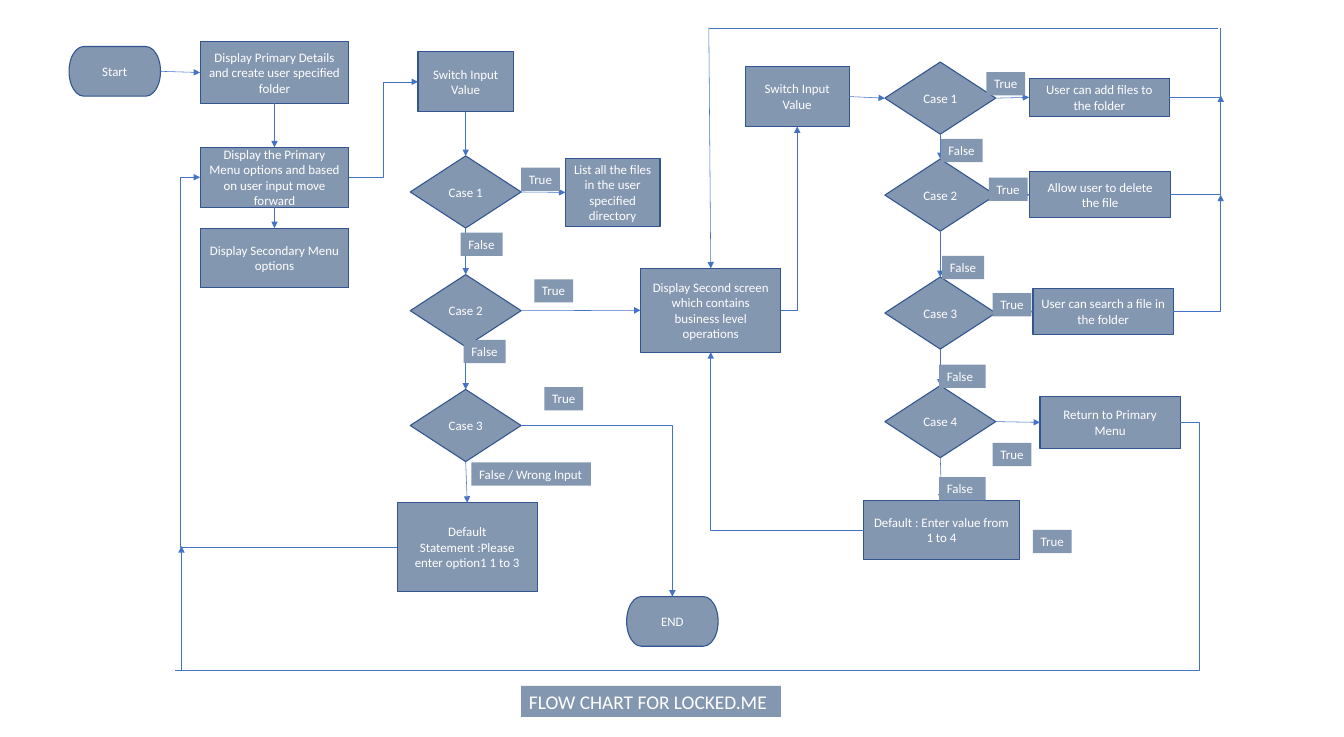
from lxml import etree
from pptx import Presentation
from pptx.dml.color import RGBColor
from pptx.enum.shapes import MSO_CONNECTOR as CONNECTOR, MSO_SHAPE as SHAPE
from pptx.enum.text import MSO_ANCHOR as ANCHOR, MSO_AUTO_SIZE as AUTO_SIZE, PP_ALIGN as ALIGN
from pptx.oxml.ns import qn
from pptx.util import Inches, Pt

COLORS = {"fill": "8497B0", "outline": "325491", "flow": "4472C4", "text": "FFFFFF"}
FONT = "Calibri"
TOP, LEFT, BOTTOM, RIGHT = range(4)
CASE_SIZE = (1.43, 0.93)
TERMINATOR_SIZE = (1.18, 0.64)
LABEL_HEIGHT = 0.3

# key: (preset, text, left, top, width, height)
STEPS = {
    "start": (SHAPE.FLOWCHART_TERMINATOR, "Start", 0.89, 0.6, *TERMINATOR_SIZE),
    "details": (SHAPE.RECTANGLE, "Display Primary Details and create user specified folder",
                2.58, 0.54, 1.92, 0.79),
    "primary": (SHAPE.RECTANGLE,
                "Display the Primary Menu options and based on user input move forward",
                2.58, 1.9, 1.92, 0.77),
    "secondary": (SHAPE.RECTANGLE, "Display Secondary Menu options", 2.58, 2.94, 1.92, 0.77),
    "menu switch": (SHAPE.RECTANGLE, "Switch Input\nValue", 5.39, 0.67, 1.23, 0.77),
    "menu 1": (SHAPE.FLOWCHART_DECISION, "Case 1", 5.29, 2.01, *CASE_SIZE),
    "menu 2": (SHAPE.FLOWCHART_DECISION, "Case 2", 5.29, 3.54, *CASE_SIZE),
    "menu 3": (SHAPE.FLOWCHART_DECISION, "Case 3", 5.29, 5.02, *CASE_SIZE),
    "menu default": (SHAPE.FLOWCHART_PROCESS, "Default Statement :Please enter option1 1 to 3",
                     5.12, 6.48, 1.81, 1.14),
    "list": (SHAPE.FLOWCHART_PROCESS, "List all the files in the user specified directory",
             7.29, 2.04, 1.22, 0.88),
    "second screen": (SHAPE.FLOWCHART_PROCESS,
                      "Display Second screen which contains business level operations",
                      8.26, 3.46, 1.81, 1.08),
    "end": (SHAPE.FLOWCHART_TERMINATOR, "END", 8.08, 7.69, *TERMINATOR_SIZE),
    "file switch": (SHAPE.RECTANGLE, "Switch Input\nValue", 9.61, 0.86, 1.34, 0.77),
    "file 1": (SHAPE.FLOWCHART_DECISION, "Case 1", 11.41, 0.8, *CASE_SIZE),
    "file 2": (SHAPE.FLOWCHART_DECISION, "Case 2", 11.41, 2.05, *CASE_SIZE),
    "file 3": (SHAPE.FLOWCHART_DECISION, "Case 3", 11.41, 3.57, *CASE_SIZE),
    "file 4": (SHAPE.FLOWCHART_DECISION, "Case 4", 11.41, 4.97, *CASE_SIZE),
    "file default": (SHAPE.FLOWCHART_PROCESS, "Default : Enter value from 1 to 4",
                     11.14, 6.45, 2, 0.76),
    "add": (SHAPE.FLOWCHART_PROCESS, "User can add files to the folder", 13.27, 1.01, 1.81, 0.49),
    "delete": (SHAPE.FLOWCHART_PROCESS, "Allow user to delete the file", 13.28, 2.21, 1.81, 0.6),
    "search": (SHAPE.FLOWCHART_PROCESS, "User can search a file in the folder",
               13.32, 3.72, 1.81, 0.59),
    "return": (SHAPE.FLOWCHART_PROCESS, "Return to Primary Menu", 13.41, 5.11, 1.81, 0.67),
}

# Chains of steps joined bottom to top, and left to right
DOWNWARD = [
    ("details", "primary", "secondary"),
    ("menu switch", "menu 1", "menu 2", "menu 3", "menu default"),
    ("file 1", "file 2", "file 3", "file 4", "file default"),
]
RIGHTWARD = [
    ("start", "details"),
    ("menu 1", "list"),
    ("menu 2", "second screen"),
    ("file switch", "file 1", "add"),
    ("file 2", "delete"),
    ("file 3", "search"),
    ("file 4", "return"),
]

# (width, text): [(left, top), ...]
BRANCH_LABELS = {
    (0.5, "True"): [(6.72, 2.16), (6.89, 3.6), (7.02, 4.99), (12.72, 0.93), (12.75, 2.29),
                    (12.8, 3.78), (12.8, 5.71), (13.32, 6.83)],
    (0.54, "False"): [(5.94, 3), (5.98, 4.38), (12.13, 1.79), (12.15, 3.3)],
    (0.6, "False"): [(12.11, 4.7), (12.11, 6.15)],
    (1.54, "False / Wrong Input"): [(6.08, 5.96)],
}


def color(key):
    return RGBColor.from_string(COLORS[key])


def write(shape, text, align, anchor, size=12):
    frame = shape.text_frame
    frame.text = text
    frame.vertical_anchor = anchor
    for paragraph in frame.paragraphs:
        paragraph.alignment = align
        for run in paragraph.runs:
            run.font.name = FONT
            run.font.size = Pt(size)
            run.font.color.rgb = color("text")


def paint(shape):
    shape.fill.solid()
    shape.fill.fore_color.rgb = color("fill")


def add_step(slide, preset, text, *box):
    step = slide.shapes.add_shape(preset, *map(Inches, box))
    step.shadow.inherit = False
    paint(step)
    step.line.color.rgb = color("outline")
    step.line.width = Pt(1)
    write(step, text, ALIGN.CENTER, ANCHOR.MIDDLE)
    return step


def add_branch_label(slide, text, *box):
    label = slide.shapes.add_textbox(*map(Inches, box))
    label.text_frame.word_wrap = False
    paint(label)
    write(label, text, ALIGN.LEFT, ANCHOR.TOP)


def add_flow(slide, kind, start, end, arrow=True):
    flow = slide.shapes.add_connector(kind, *start, *end)
    flow.line.color.rgb = color("flow")
    flow.line.width = Pt(0.5)
    properties = flow.element.spPr
    if arrow:
        etree.SubElement(properties.find(qn("a:ln")), qn("a:tailEnd"), type="triangle")
    etree.SubElement(properties, qn("a:effectLst"))
    return flow


def point(x, y):
    return Inches(x), Inches(y)


def side_middle(step, side):
    across = {LEFT: 0, RIGHT: step.width}.get(side, step.width // 2)
    down = {TOP: 0, BOTTOM: step.height}.get(side, step.height // 2)
    return step.left + across, step.top + down


def join(slide, source, source_side, target, target_side):
    flow = add_flow(slide, CONNECTOR.STRAIGHT, side_middle(source, source_side),
                    side_middle(target, target_side))
    flow.begin_connect(source, source_side)
    flow.end_connect(target, target_side)


def add_corner(slide, start, end, arrow=True):
    """Run horizontally from start, then turn once towards end."""
    flow = add_flow(slide, CONNECTOR.ELBOW, start, end, arrow)
    flow.element.spPr.find(qn("a:prstGeom")).set("prst", "bentConnector2")


def add_detour(slide, start, end, turn_x, arrow=True):
    """Run horizontally to turn_x, then vertically, then back to end."""
    flow = add_flow(slide, CONNECTOR.ELBOW, start, end, arrow)
    bend = round(100000 * (turn_x - start[0]) / (end[0] - start[0]))
    guides = flow.element.spPr.find(qn("a:prstGeom")).get_or_add_avLst()
    etree.SubElement(guides, qn("a:gd"), name="adj1", fmla=f"val {bend}")


def add_return_flows(slide, steps):
    second_top = side_middle(steps["second screen"], TOP)
    trunk_x, roof_y = 15.74, 0.36
    roof_start = point(9.14, roof_y)
    add_flow(slide, CONNECTOR.STRAIGHT, roof_start, second_top).end_connect(
        steps["second screen"], TOP)
    add_flow(slide, CONNECTOR.STRAIGHT, roof_start, point(15.71, roof_y), arrow=False)
    for key, trunk_y in (("add", roof_y), ("delete", 1.23), ("search", 2.51)):
        add_corner(slide, side_middle(steps[key], RIGHT), point(trunk_x, trunk_y),
                   arrow=key != "add")

    for source, source_side, target, target_side in (
            ("file default", LEFT, "second screen", BOTTOM),
            ("second screen", RIGHT, "file switch", BOTTOM),
            ("menu 3", RIGHT, "end", TOP)):
        add_corner(slide, side_middle(steps[source], source_side),
                   side_middle(steps[target], target_side))

    primary_left = side_middle(steps["primary"], LEFT)
    add_detour(slide, side_middle(steps["primary"], RIGHT),
               side_middle(steps["menu switch"], LEFT), Inches(4.94))
    add_detour(slide, side_middle(steps["menu default"], LEFT), primary_left, Inches(2.33))
    add_detour(slide, side_middle(steps["return"], RIGHT), point(2.26, 8.64), Inches(15.46),
               arrow=False)
    add_flow(slide, CONNECTOR.STRAIGHT, point(2.34, 8.64), point(2.34, 7.04))


def add_title(slide):
    title = slide.shapes.title
    title.left, title.top, title.width, title.height = map(Inches, (6.72, 8.84, 3.35, 0.4))
    paint(title)
    write(title, "FLOW CHART FOR LOCKED.ME", ALIGN.LEFT, ANCHOR.TOP, size=18)
    title.text_frame.auto_size = AUTO_SIZE.NONE


def main():
    deck = Presentation()
    deck.slide_width, deck.slide_height = Inches(17.33), Inches(9.5)
    slide = deck.slides.add_slide(deck.slide_layouts.get_by_name("Title Only"))
    add_title(slide)
    steps = {key: add_step(slide, *step) for key, step in STEPS.items()}
    for chains, out_side, in_side in ((DOWNWARD, BOTTOM, TOP), (RIGHTWARD, RIGHT, LEFT)):
        for chain in chains:
            for source, target in zip(chain, chain[1:]):
                join(slide, steps[source], out_side, steps[target], in_side)
    add_return_flows(slide, steps)
    for (width, text), places in BRANCH_LABELS.items():
        for left, top in places:
            add_branch_label(slide, text, left, top, width, LABEL_HEIGHT)
    deck.save("out.pptx")


if __name__ == "__main__":
    main()
